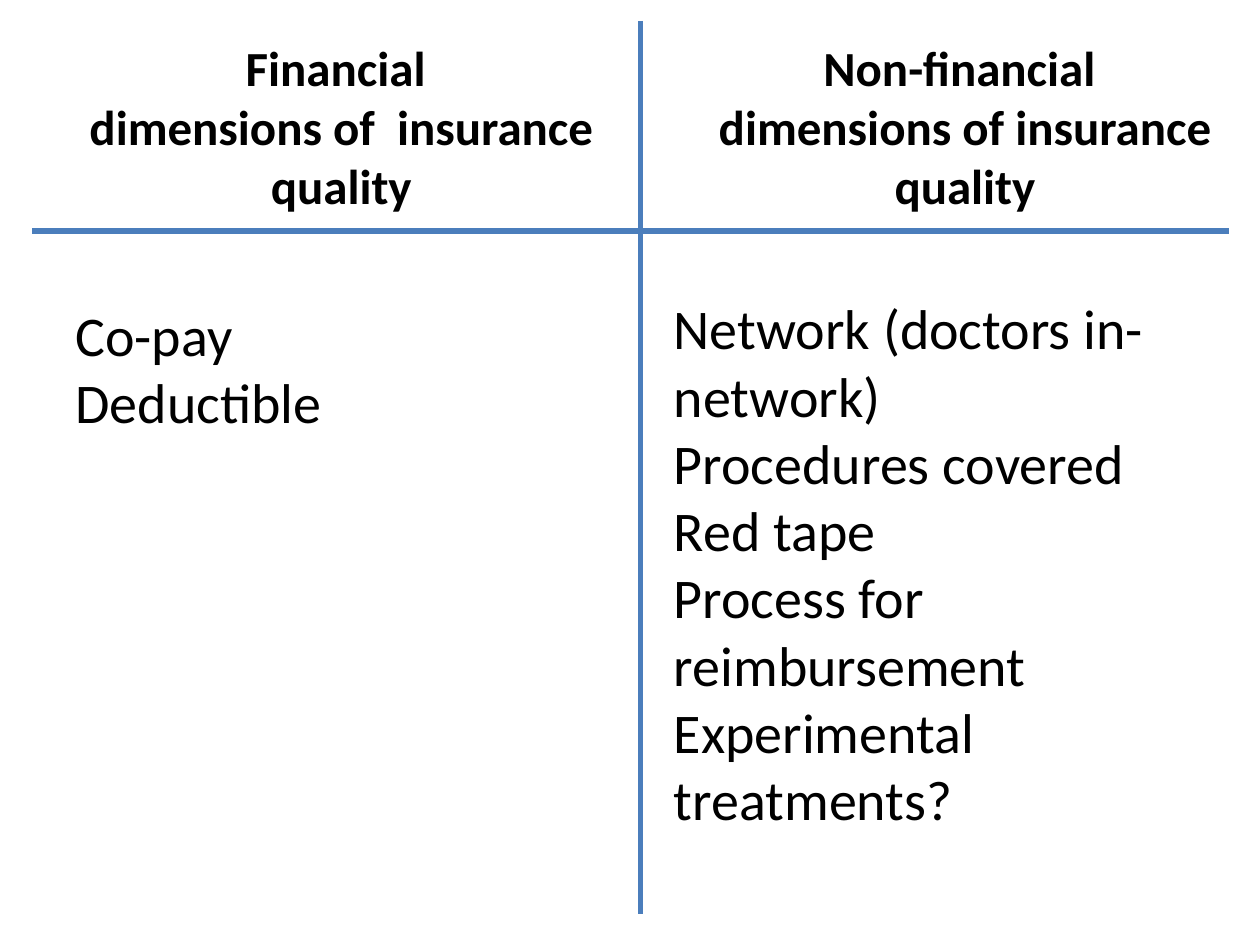
from lxml import etree
from pptx import Presentation, util as u
from pptx.dml.color import RGBColor
from pptx.enum import shapes, text
from pptx.oxml.ns import qn

HUE = {"text": "000000", "rule": "4B7EBC"}
FONT = "Calibri"
COLS, ROWS = 120, 90
UNIT = u.Inches(10) // COLS  # one grid cell is square

HEADS = [
    ((6, 4, 53, 17), "Financial \vdimensions of  insurance quality"),
    ((62.4, 12.6, 59, 8.4), "Non-financial \vdimensions of insurance quality"),
]
RULES = [(61, 2, 61, 87), (117, 22, 3, 22)]
LISTS = [
    ((6, 28, 46, 14.2), ["Co-pay", "Deductible"]),
    ((63, 27.4, 55, 65.9), [
        "Network (doctors in-network)",
        "Procedures covered",
        "Red tape",
        "Process for reimbursement",
        "Experimental treatments?",
    ]),
]


def grid(cells):
    return [round(n * UNIT) for n in cells]


def add_text(slide, box, lines, size, bold=False):
    frame = slide.shapes.add_textbox(*grid(box)).text_frame
    frame.word_wrap = True
    frame.text = "\n".join(lines)
    for para in frame.paragraphs:
        for run in para.runs:
            font = run.font
            font.name, font.size, font.bold = FONT, u.Pt(size), bold
            font.color.rgb = RGBColor.from_string(HUE["text"])
    return frame


def add_head(slide, box, title):
    frame = add_text(slide, box, [""], 28)
    frame.vertical_anchor = text.MSO_ANCHOR.BOTTOM
    para = frame.paragraphs[0]
    para.text = title
    para.alignment = text.PP_ALIGN.CENTER
    for run in para.runs:
        font = run.font
        font.name, font.size, font.bold = FONT, u.Pt(28), True
        font.color.rgb = RGBColor.from_string(HUE["text"])


def add_rule(slide, ends):
    rule = slide.shapes.add_connector(shapes.MSO_CONNECTOR.STRAIGHT, *grid(ends))
    rule.line.color.rgb = RGBColor.from_string(HUE["rule"])
    rule.line.width = u.Pt(3)
    etree.SubElement(rule._element.spPr, qn("a:effectLst"))


def main():
    deck = Presentation()
    deck.slide_width, deck.slide_height = COLS * UNIT, ROWS * UNIT
    slide = deck.slides.add_slide(deck.slide_layouts[6])
    for box, title in HEADS:
        add_head(slide, box, title)
    for ends in RULES:
        add_rule(slide, ends)
    for box, lines in LISTS:
        add_text(slide, box, lines, 32)
    deck.save("out.pptx")


if __name__ == "__main__":
    main()
